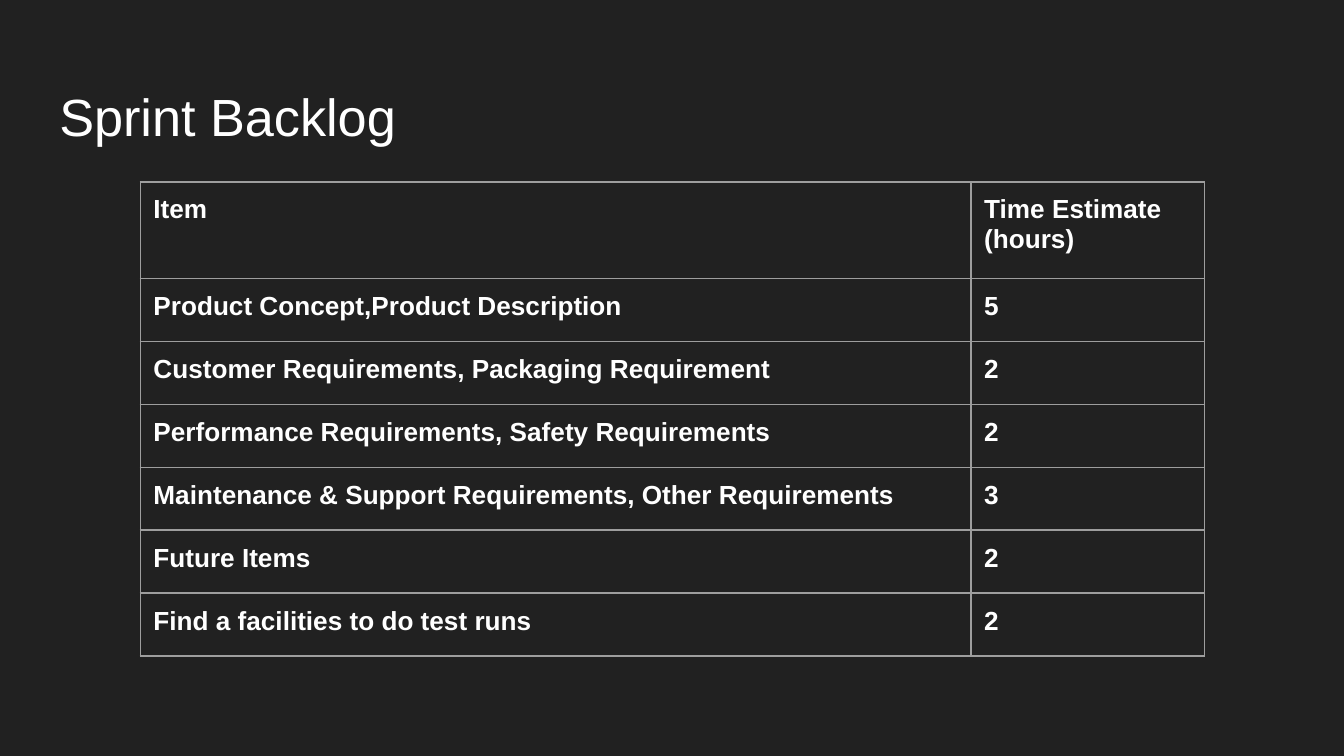
from typing import NamedTuple

from lxml import etree
from pptx import Presentation
from pptx import util as u
from pptx.dml.color import RGBColor
from pptx.enum import text
from pptx.oxml import ns

BACKGROUND = RGBColor(0x21, 0x21, 0x21)
WHITE = RGBColor(0xFF, 0xFF, 0xFF)
BORDER = RGBColor(0x9E, 0x9E, 0x9E)
FONT = "Arial"
INSET = u.Cm(0.25)
COLUMN_WIDTHS = (u.Cm(15.7), u.Cm(4.41))
HEADER_HEIGHT = u.Cm(1.82)
ROW_HEIGHT = u.Cm(1.19)


class BacklogRow(NamedTuple):
    item: str
    hours: str


BACKLOG = [
    BacklogRow("Item", "Time Estimate (hours)"),
    BacklogRow("Product Concept,Product Description", "5"),
    BacklogRow("Customer Requirements, Packaging Requirement", "2"),
    BacklogRow("Performance Requirements, Safety Requirements", "2"),
    BacklogRow("Maintenance & Support Requirements, Other Requirements", "3"),
    BacklogRow("Future Items", "2"),
    BacklogRow("Find a facilities to do test runs", "2"),
]


def add_run(paragraph, content: str, size: int, bold: bool = False) -> None:
    paragraph.alignment = text.PP_ALIGN.LEFT
    paragraph.line_spacing = 1.0
    run = paragraph.add_run()
    run.text = content
    run.font.name = FONT
    run.font.size = u.Pt(size)
    run.font.bold = bold
    run.font.color.rgb = WHITE


def add_borders(cell) -> None:
    properties = cell._tc.get_or_add_tcPr()
    for index, side in enumerate(("lnL", "lnR", "lnT", "lnB")):
        line = etree.Element(ns.qn(f"a:{side}"), w=str(u.Pt(0.75)))
        fill = etree.SubElement(line, ns.qn("a:solidFill"))
        etree.SubElement(fill, ns.qn("a:srgbClr"), val=str(BORDER))
        properties.insert(index, line)


def fill_cell(cell, content: str) -> None:
    cell.margin_left = cell.margin_right = INSET
    cell.margin_top = cell.margin_bottom = INSET
    cell.vertical_anchor = text.MSO_ANCHOR.TOP
    cell.fill.background()
    add_borders(cell)
    add_run(cell.text_frame.paragraphs[0], content, 14, bold=True)


def add_title(slide, content: str) -> None:
    title = slide.shapes.title
    title.left, title.top = u.Cm(0.87), u.Cm(1.24)
    title.width, title.height = u.Cm(23.67), u.Cm(1.6)
    frame = title.text_frame
    frame.margin_left = frame.margin_right = INSET
    frame.margin_top, frame.margin_bottom = u.Cm(0.35), u.Cm(0.1)
    frame.vertical_anchor = text.MSO_ANCHOR.TOP
    frame.auto_size = text.MSO_AUTO_SIZE.NONE
    frame.word_wrap = True
    add_run(frame.paragraphs[0], content, 28)


def add_backlog(slide, rows: list[BacklogRow]) -> None:
    height = HEADER_HEIGHT + ROW_HEIGHT * (len(rows) - 1)
    table = slide.shapes.add_table(
        len(rows), len(COLUMN_WIDTHS),
        u.Cm(2.65), u.Cm(3.44), sum(COLUMN_WIDTHS), height,
    ).table
    table.horz_banding = False
    table.first_row = False
    for column, width in zip(table.columns, COLUMN_WIDTHS):
        column.width = width
    for index, (table_row, row) in enumerate(zip(table.rows, rows)):
        table_row.height = ROW_HEIGHT if index else HEADER_HEIGHT
        for cell, content in zip(table_row.cells, row):
            fill_cell(cell, content)


presentation = Presentation()
presentation.slide_width = u.Cm(25.4)
presentation.slide_height = u.Cm(14.29)
slide = presentation.slides.add_slide(presentation.slide_layouts[5])
slide.background.fill.solid()
slide.background.fill.fore_color.rgb = BACKGROUND
add_title(slide, "Sprint Backlog")
add_backlog(slide, BACKLOG)
presentation.save("out.pptx")
